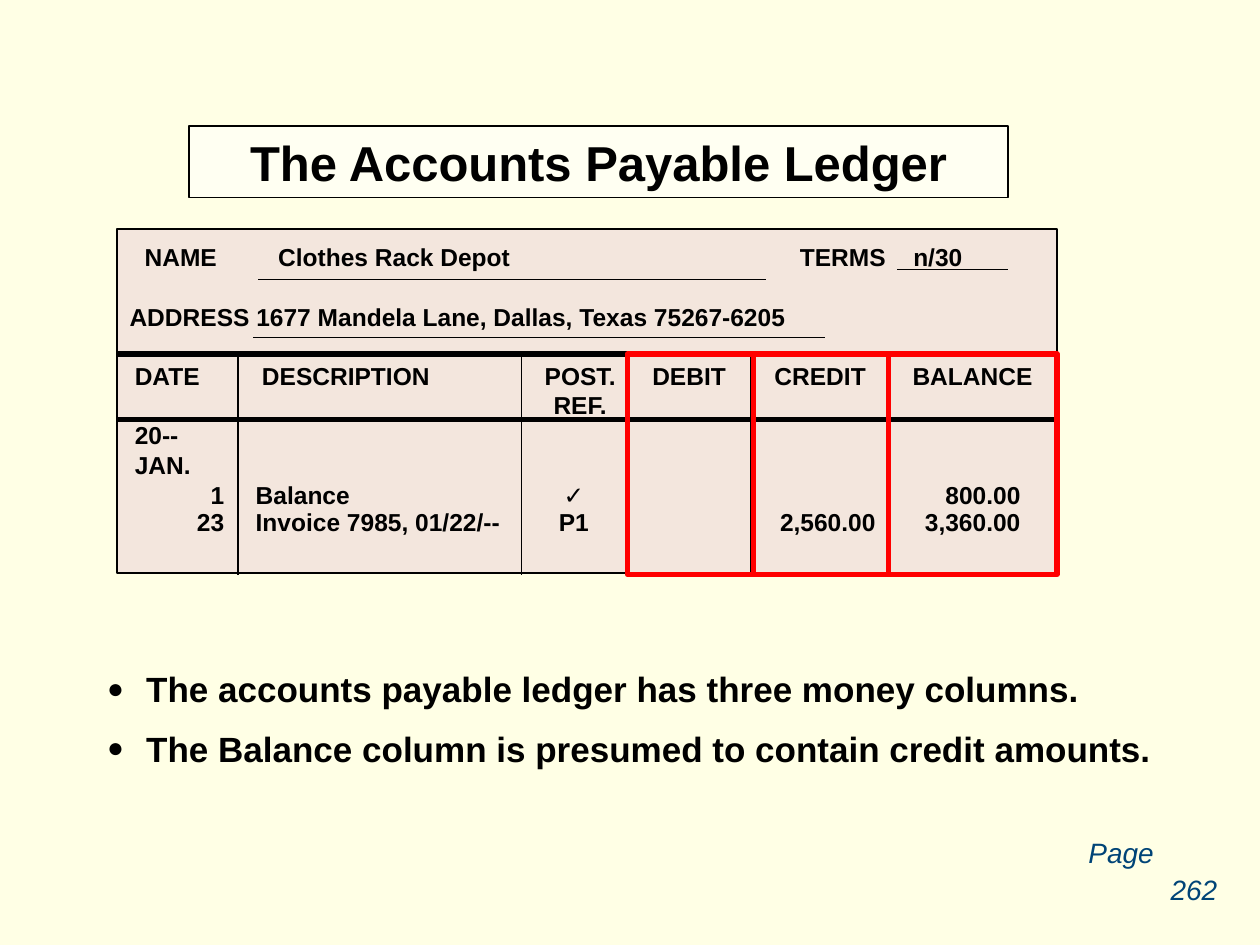
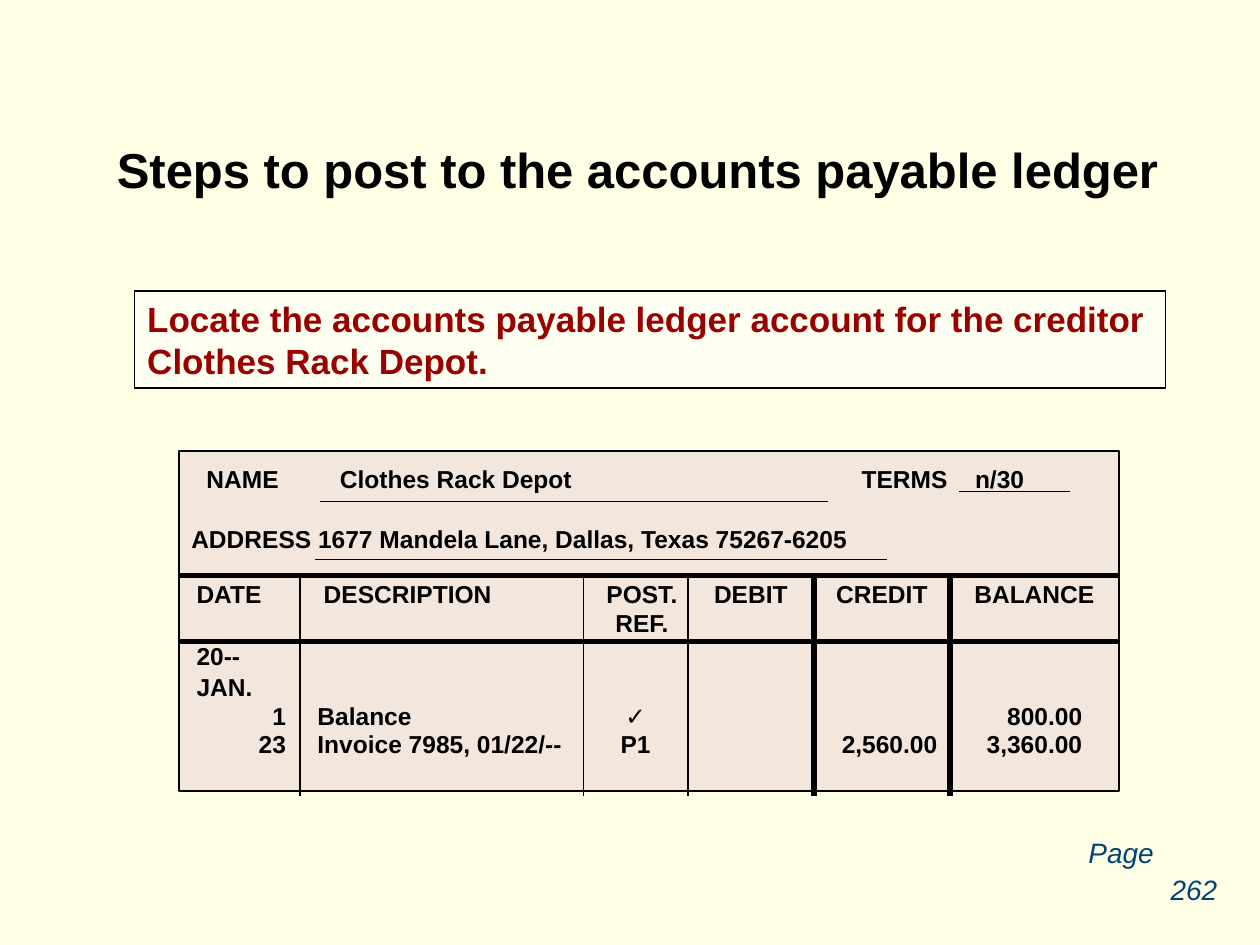
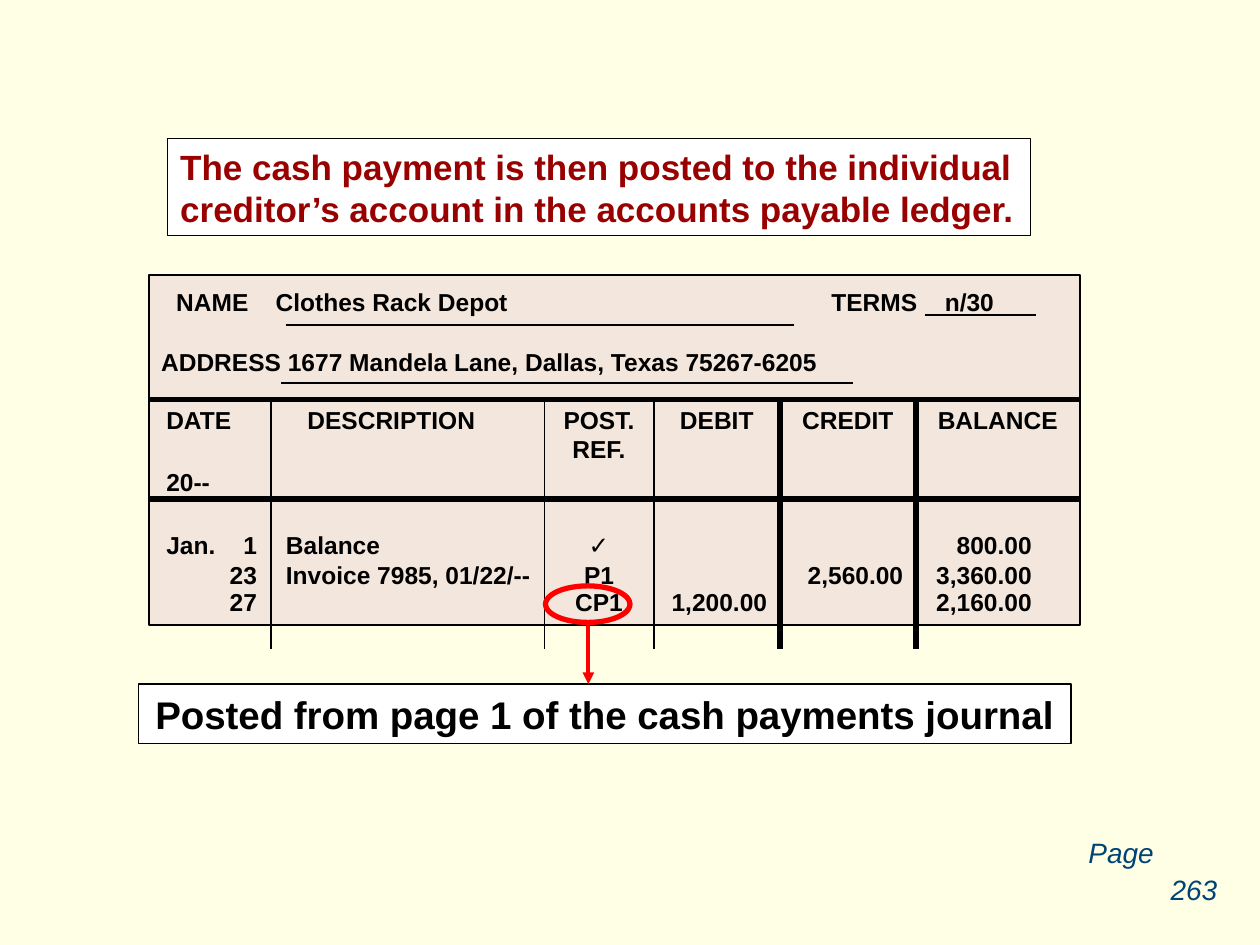
from dataclasses import dataclass
from itertools import accumulate

from lxml import etree
from pptx import Presentation, util as u
from pptx.dml.color import RGBColor
from pptx.enum import shapes, text
from pptx.oxml.ns import qn


@dataclass(frozen=True)
class Theme:
    font: str = "Arial"
    back: str = "FFFFE5"
    card: str = "F3E6DD"
    panel: str = "FFFFFF"
    ink: str = "000000"
    step: str = "990000"
    page: str = "004477"
    mark: str = "FF0000"
    title: int = 28
    caption: int = 22
    body: int = 20
    footer: int = 16
    ledger: int = 14
    thin: float = 0.75
    edge: float = 1
    arrow: float = 2.25
    thick: float = 3


T = Theme()
I = u.Inches
LEFT, CENTER, RIGHT = text.PP_ALIGN.LEFT, text.PP_ALIGN.CENTER, text.PP_ALIGN.RIGHT
TOP, MIDDLE, BOTTOM = text.MSO_ANCHOR.TOP, text.MSO_ANCHOR.MIDDLE, text.MSO_ANCHOR.BOTTOM
RECT, OVAL = shapes.MSO_SHAPE.RECTANGLE, shapes.MSO_SHAPE.OVAL


def write(tf, content, size, color=T.ink, align=LEFT, bold=True, italic=False):
    tf.text = content
    for p in tf.paragraphs:
        p.alignment = align
        for r in p.runs:
            f = r.font
            f.name, f.size, f.bold, f.italic = T.font, u.Pt(size), bold, italic
            f.color.rgb = RGBColor.from_string(color)
        etree.SubElement(p._p, qn("a:endParaRPr"), sz=str(size * 100))


def line(s, x1, y1, x2, y2, width, color=T.ink):
    cn = s.shapes.add_connector(shapes.MSO_CONNECTOR.STRAIGHT, I(x1), I(y1), I(x2), I(y2))
    cn.line.width = u.Pt(width)
    cn.line.color.rgb = RGBColor.from_string(color)
    etree.SubElement(cn._element.spPr, qn("a:effectLst"))
    return cn


header = ["DATE", "", "DESCRIPTION", "POST.\nREF.", "DEBIT", "CREDIT", "BALANCE"]
year = ["20--"] + [""] * 6
month = ["JAN."] + [""] * 6
balance = ["1", "Balance", "✓", "", "", "800.00"]
invoice = ["", "23", "Invoice 7985, 01/22/--", "P1", "", "2,560.00", "3,360.00"]
payment = ["", "27", "", "CP1", "1,200.00", "", "2,160.00"]

opening = dict(
    name_tab=1.18, blank_shift=0, head_rows=1,
    head_left=[0.14, 0, 0.19, 0.1, 0, 0, 0],
    body_left=[0.14, 0, 0.14, 0, 0, 0, 0],
    right=[0, 0.11, 0, 0, 0.1, 0.1, 0.29],
    cols=[0.62, 0.34, 2.25, 0.83, 1, 1.08, 1.34],
    rows=[header, year, month, [""] + balance, invoice],
    heights=[0.52, 0.23, 0.24, 0.23, 0.53],
)
after_payment = dict(
    name_tab=0.91, blank_shift=-0.03, head_rows=2,
    head_left=[0.14, 0, 0.29, 0, 0, 0, 0],
    body_left=[0.14, 0, 0.12, 0, 0, 0, 0],
    right=[0, 0.11, 0, 0, 0.1, 0.1, 0.38],
    cols=[0.62, 0.35, 2.17, 0.87, 1, 1.08, 1.3],
    rows=[header, year, ["Jan."] + balance, invoice, payment],
    heights=[0.55, 0.24, 0.48, 0.23, 0.48],
)

head_align = [LEFT] * 3 + [CENTER] * 4
body_align = [LEFT, RIGHT, LEFT, CENTER, RIGHT, RIGHT, RIGHT]
rules = [T.thin, T.thin, T.thin, T.thick, T.thick]
blanks = [(1.12, 5.15, 0.4), (1.08, 5.62, 0.86), (6.19, 7.07, 0.32)]

pages = [
    dict(layout=1, title="The Accounts Payable Ledger", box=(1.5, 1, 6.5, 0.57),
         style=(T.title, T.ink, CENTER), anchor=MIDDLE,
         ledger=opening, at=(0.93, 1.82, 7.46, 2.73), head_top=0.07, page="262"),
    dict(layout=5, title="Steps to post to the accounts payable ledger", box=(0.56, 1.06, 9, 1.25),
         style=(T.title, T.ink, CENTER), anchor=TOP,
         ledger=opening, at=(1.42, 3.58, 7.46, 2.7), head_top=0.04, page="262"),
    dict(layout=5, title="The cash payment is then posted to the individual creditor’s "
         "account in the accounts payable ledger.", box=(1.33, 1.1, 6.85, 0.77),
         style=(T.body, T.step, LEFT), anchor=MIDDLE,
         ledger=after_payment, at=(1.18, 2.18, 7.39, 2.78), head_top=0.06, page="263"),
]

prs = Presentation()
prs.slide_width, prs.slide_height = I(10), I(7.5)
bg = prs.slide_master.background.fill
bg.solid()
bg.fore_color.rgb = RGBColor.from_string(T.back)

for page in pages:
    s = prs.slides.add_slide(prs.slide_layouts[page["layout"]])
    sp = s.shapes.title
    sp.left, sp.top, sp.width, sp.height = map(I, page["box"])
    tf = sp.text_frame
    write(tf, page["title"], *page["style"])
    tf.word_wrap, tf.auto_size = True, text.MSO_AUTO_SIZE.NONE
    tf.vertical_anchor = page["anchor"]

    ledger = page["ledger"]
    x, y, width, height = page["at"]
    sp = s.shapes.add_shape(RECT, I(x), I(y), I(width), I(height))
    sp.shadow.inherit = False
    sp.fill.solid()
    sp.fill.fore_color.rgb = RGBColor.from_string(T.card)
    sp.line.color.rgb = RGBColor.from_string(T.ink)
    sp.line.width = u.Pt(T.edge)
    tf = sp.text_frame
    tf.word_wrap, tf.vertical_anchor, tf.margin_top = True, TOP, I(0.1)
    write(tf, "\tNAME\tClothes Rack Depot\tTERMS\tn/30\n"
              "ADDRESS 1677 Mandela Lane, Dallas, Texas 75267-6205", T.ledger)
    tf.paragraphs[1].space_before = u.Pt(17.5)
    tabs = etree.SubElement(tf.paragraphs[0]._p.get_or_add_pPr(), qn("a:tabLst"))
    for stop in (0.12, ledger["name_tab"], 5.32, 6.22):
        etree.SubElement(tabs, qn("a:tab"), pos=str(I(stop)), algn="l")
    for start, end, drop in blanks:
        left = x + ledger["blank_shift"]
        line(s, left + start, y + drop, left + end, y + drop, T.thin)

    rows, cols, heights = ledger["rows"], ledger["cols"], ledger["heights"]
    head_rows, top = ledger["head_rows"], y + 0.99
    table = s.shapes.add_table(len(rows), len(cols), I(x), I(top),
                               I(sum(cols)), I(sum(heights))).table
    table.first_row = table.horz_banding = False
    table._tbl.tblPr[0].text = "{2D5ABB26-0587-4C30-8999-92F81FD0307C}"
    for column, w in zip(table.columns, cols):
        column.width = I(w)
    for row, h in zip(table.rows, heights):
        row.height = I(h)
    for i, row in enumerate(rows):
        for j, value in enumerate(row):
            c = table.cell(i, j)
            align = (body_align if i else head_align)[j]
            write(c.text_frame, value, T.ledger, align=align)
            for p in c.text_frame.paragraphs[1:]:
                p.space_before = u.Pt(1)
            c.margin_left = I(ledger["body_left" if i else "head_left"][j])
            c.margin_right = I(ledger["right"][j] if align == RIGHT else 0)
            c.margin_top, c.margin_bottom = I(0 if i else page["head_top"]), 0
            c.vertical_anchor = TOP if i < head_rows or i == len(rows) - 1 else BOTTOM
            c.fill.background()
    table.cell(0, 0).merge(table.cell(0, 1))
    for ly in (top, top + sum(heights[:head_rows])):
        line(s, x, ly, x + width, ly, T.thick)
    for dx, weight in zip(list(accumulate(cols))[1:-1], rules):
        line(s, x + dx, top, x + dx, top + sum(heights), weight)

    for label, px, py, pw, align in (("Page", 8.54, 6.58, 0.72, LEFT),
                                     (page["page"], 9.19, 6.88, 0.57, CENTER)):
        tf = s.shapes.add_textbox(I(px), I(py), I(pw), I(0.37)).text_frame
        tf.word_wrap = False
        write(tf, label, T.footer, T.page, align, bold=False, italic=True)

overview, locate, posted = prs.slides

sp = overview.placeholders[1]
sp.left, sp.top, sp.width, sp.height = I(0.75), I(5.25), I(8.67), I(0.91)
tf = sp.text_frame
write(tf, "The accounts payable ledger has three money columns.\n"
          "The Balance column is presumed to contain credit amounts.", T.body)
tf.auto_size = text.MSO_AUTO_SIZE.NONE
for p in tf.paragraphs:
    p.space_before, p.space_after = u.Pt(0), u.Pt(10)
    pPr = p._p.get_or_add_pPr()
    pPr.set("marL", str(I(0.31)))
    pPr.set("indent", str(-I(0.31)))
    color = etree.SubElement(pPr, qn("a:buClr"))
    etree.SubElement(color, qn("a:srgbClr"), val=T.ink)
    etree.SubElement(pPr, qn("a:buSzPct"), val="80000")
    etree.SubElement(pPr, qn("a:buChar"), char="●")

callout = locate.shapes.add_shape(RECT, I(1.07), I(2.31), I(8.18), I(0.77))
write(callout.text_frame, "Locate the accounts payable ledger account for the creditor "
                          "Clothes Rack Depot.", T.body, T.step)
caption = posted.shapes.add_shape(RECT, I(1.1), I(5.43), I(7.4), I(0.47))
write(caption.text_frame, "Posted from page 1 of the cash payments journal",
      T.caption, align=CENTER)

for sp, see_through in ((overview.shapes.title, True), (callout, True),
                        (posted.shapes.title, False), (caption, False)):
    sp.text_frame.word_wrap = True
    sp.fill.solid()
    sp.fill.fore_color.rgb = RGBColor.from_string(T.panel)
    if see_through:
        clr = sp._element.spPr.find(qn("a:solidFill"))[0]
        etree.SubElement(clr, qn("a:alpha"), val="50000")
    sp.line.color.rgb = RGBColor.from_string(T.ink)
    sp.line.width = u.Pt(T.thin)
    sp.shadow.inherit = False

marks = [(overview, RECT, 4.98, 2.81, 1, 1.75),
         (overview, RECT, 5.98, 2.81, 1.07, 1.75),
         (overview, RECT, 7.05, 2.81, 1.34, 1.75),
         (posted, OVAL, 4.33, 4.65, 0.67, 0.29)]
for s, kind, *box in marks:
    sp = s.shapes.add_shape(kind, *map(I, box))
    sp.shadow.inherit = False
    sp.fill.background()
    sp.line.color.rgb = RGBColor.from_string(T.mark)
    sp.line.width = u.Pt(T.thick)

arrow = line(posted, 4.67, 4.95, 4.67, 5.43, T.arrow, T.mark)
etree.SubElement(arrow.line._get_or_add_ln(), qn("a:tailEnd"), type="triangle")

prs.save("out.pptx")
